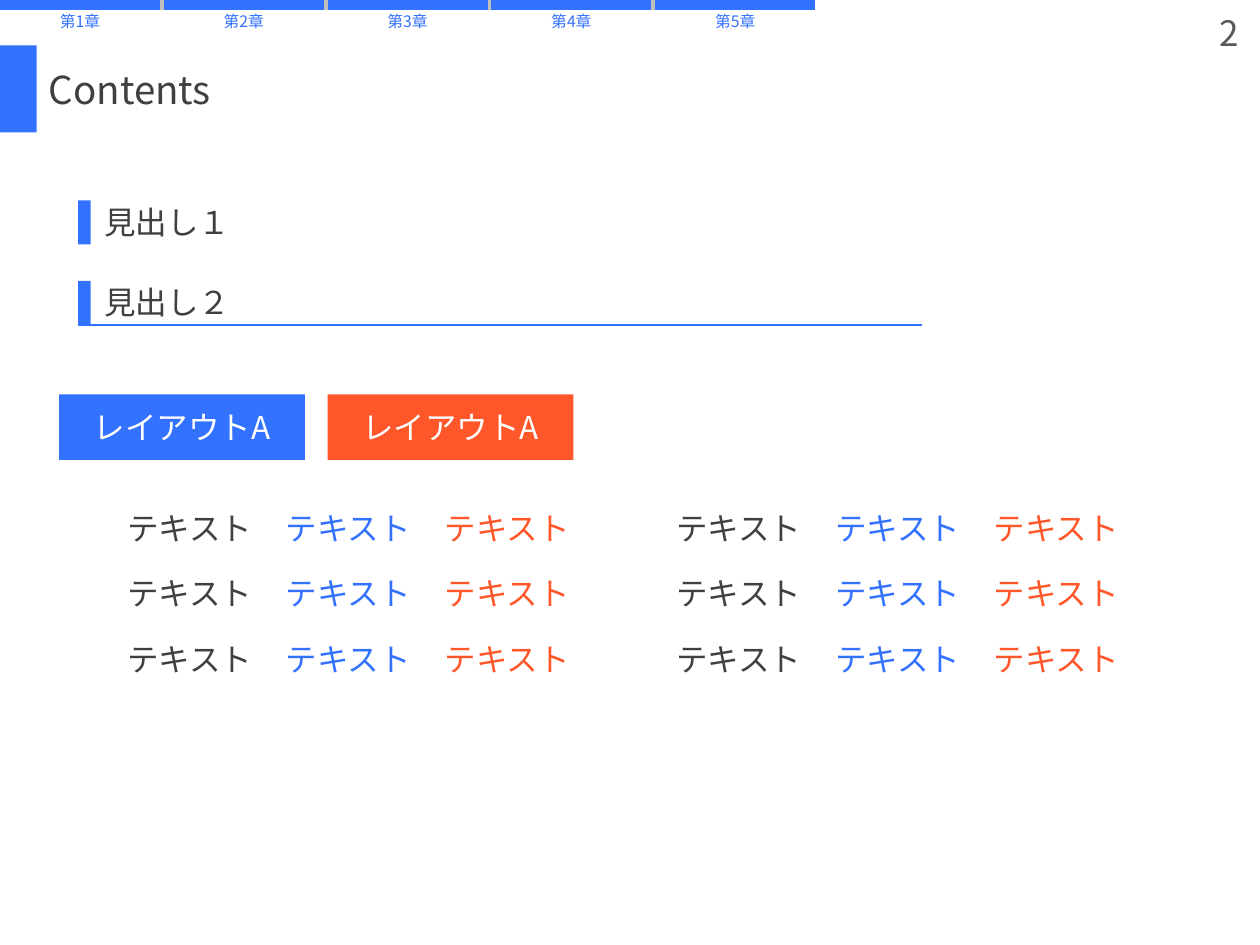
from dataclasses import dataclass

from lxml import etree
from pptx import Presentation
from pptx.dml.color import RGBColor
from pptx.enum.shapes import MSO_CONNECTOR, MSO_SHAPE
from pptx.enum.text import MSO_ANCHOR, MSO_AUTO_SIZE, PP_ALIGN
from pptx.oxml.ns import qn
from pptx.util import Inches, Pt

LEFT, MID, RIGHT = PP_ALIGN.LEFT, PP_ALIGN.CENTER, PP_ALIGN.RIGHT
TOP, HALF = MSO_ANCHOR.TOP, MSO_ANCHOR.MIDDLE
GROW, FIXED = MSO_AUTO_SIZE.SHAPE_TO_FIT_TEXT, MSO_AUTO_SIZE.NONE
RECT, LINE = MSO_SHAPE.RECTANGLE, MSO_CONNECTOR.STRAIGHT

WIDE, HIGH = Inches(10), Inches(7.5)
COLS = 100  # square grid cells across the slide


@dataclass(frozen=True)
class Theme:
    face: str = "Noto Sans CJK JP"
    blue: str = "3371FF"
    red: str = "FF5729"
    ink: str = "404040"
    gray: str = "595959"
    pale: str = "BFBFBF"
    white: str = "FFFFFF"
    tiny: int = 9
    body: int = 18
    page: int = 20
    head: int = 22


T = Theme()


def cell(*spans):
    """Turn grid cells into slide lengths."""
    return [round(WIDE * span / COLS) for span in spans]


def write(shape, text, size, color, align=LEFT, **frame):
    body = shape.text_frame
    for name, value in frame.items():
        setattr(body, name, value)
    para = body.paragraphs[0]
    para.alignment = align
    run = para.add_run()
    run.text = text
    look = {"size": Pt(size), "name": T.face}
    for name, value in look.items():
        setattr(run.font, name, value)
    run.font.color.rgb = RGBColor.from_string(color)
    # Japanese glyphs take their face from the East Asian slot
    east = etree.SubElement(run.font._element, qn("a:ea"))
    east.set("typeface", T.face)


def label(slide, box, text, size, color, align=LEFT, **frame):
    form = {"word_wrap": True, "auto_size": FIXED, "vertical_anchor": TOP}
    shape = slide.shapes.add_textbox(*cell(*box))
    write(shape, text, size, color, align, **(form | frame))


def block(slide, box, color):
    shape = slide.shapes.add_shape(RECT, *cell(*box))
    shape.shadow.inherit = False
    shape.fill.solid()
    shape.fill.fore_color.rgb = RGBColor.from_string(color)
    shape.line.fill.background()
    return shape


def rule(slide, x, y, wide, color, weight):
    line = slide.shapes.add_connector(LINE, *cell(x, y, x + wide, y))
    line.line.color.rgb = RGBColor.from_string(color)
    line.line.width = Pt(weight)
    etree.SubElement(line._element.spPr, qn("a:effectLst"))


def tabs(slide, box, names):
    """Chapter tabs: a pale track under one blue bar for each name."""
    x, y, wide, high = box
    gap = 0.3
    step = (wide + gap) / len(names)
    rule(slide, x, y, wide, T.pale, 6)
    for i, name in enumerate(names):
        left = x + i * step
        rule(slide, left, y, step - gap, T.blue, 6)
        label(slide, (left, y, step - gap, high), name, T.tiny, T.blue, MID,
              auto_size=GROW)


def title(slide, box, text):
    x, y, wide, high = box
    mark = 2.9
    block(slide, (x, y, mark, high), T.blue)
    label(slide, (x + mark, y, wide - mark, high), text, T.head, T.ink,
          vertical_anchor=HALF)


def heading(slide, box, text, lined=False):
    x, y, wide, high = box
    if lined:
        rule(slide, x, y + high, wide, T.blue, 1)
    block(slide, (x, y, 1, high), T.blue)
    label(slide, (x + 1.1, y - 0.3, 12.1, 4), text, T.body, T.ink,
          word_wrap=False, auto_size=GROW)


def badges(slide, box, text, colors):
    x, y, wide, high = box
    gap = 1.8
    step = (wide + gap) / len(colors)
    for i, color in enumerate(colors):
        shape = block(slide, (x + i * step, y, step - gap, high), color)
        write(shape, text, T.body, T.white, MID, vertical_anchor=HALF)


def samples(slide, box, text, colors, rows):
    """A grid of one word: a column for each colour."""
    x, y, wide, high = box
    across, down = wide / len(colors), high / rows
    for i, color in enumerate(colors):
        for row in range(rows):
            spot = (x + i * across, y + row * down, 12.1, 4)
            label(slide, spot, text, T.body, color,
                  word_wrap=False, auto_size=GROW)


def main():
    deck = Presentation()
    deck.slide_width, deck.slide_height = WIDE, HIGH
    slide = deck.slides.add_slide(deck.slide_layouts[6])

    title(slide, (0, 3.6, 91.1, 6.9), "Contents")
    tabs(slide, (0, 0.4, 64.7, 2.5), [f"第{n}章" for n in range(1, 6)])
    label(slide, (76, 0.6, 23.3, 4), "2", T.page, T.gray, RIGHT,
          vertical_anchor=HALF)
    heading(slide, (6.2, 15.9, 67, 3.5), "見出し１")
    heading(slide, (6.2, 22.3, 67, 3.5), "見出し２", lined=True)
    badges(slide, (4.7, 31.3, 40.8, 5.2), "レイアウトA", (T.blue, T.red))
    for x in (9.1, 52.7):
        samples(slide, (x, 39.9, 37.8, 15.6), "テキスト",
                (T.ink, T.blue, T.red), 3)

    deck.save("out.pptx")


if __name__ == "__main__":
    main()
